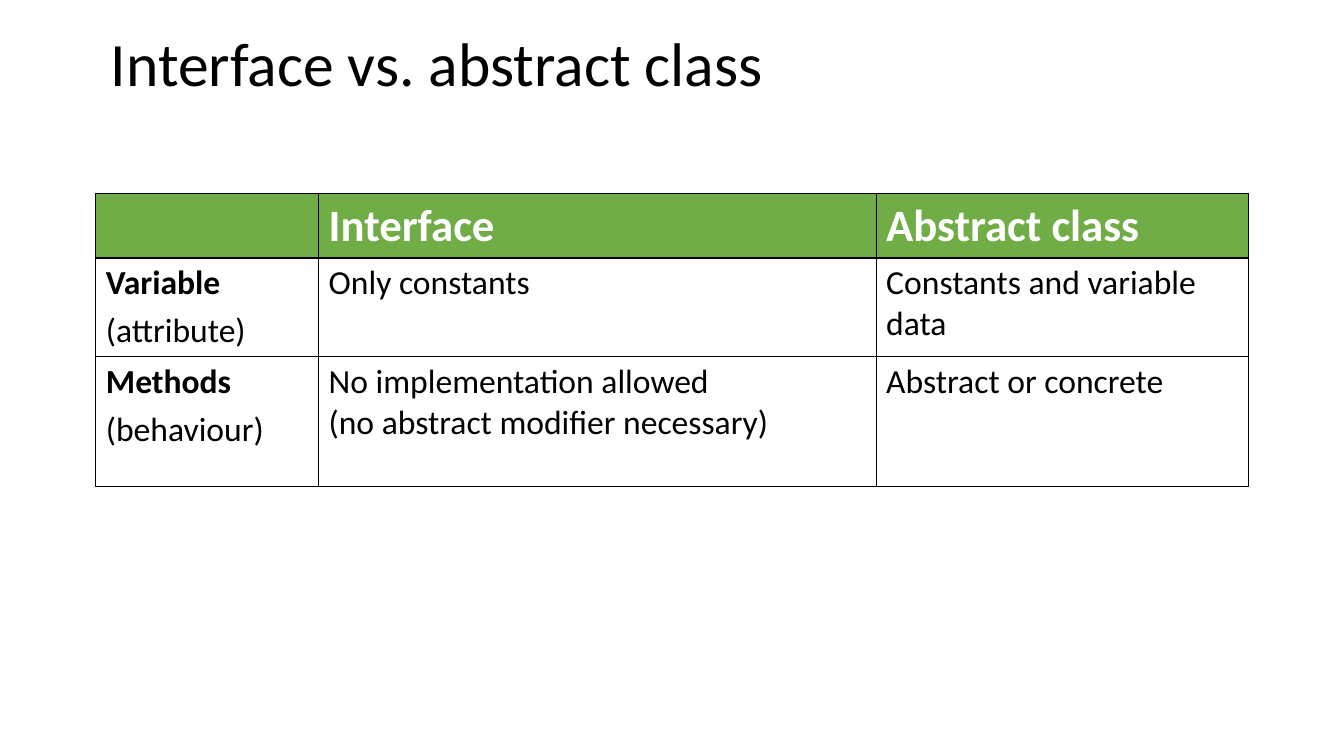
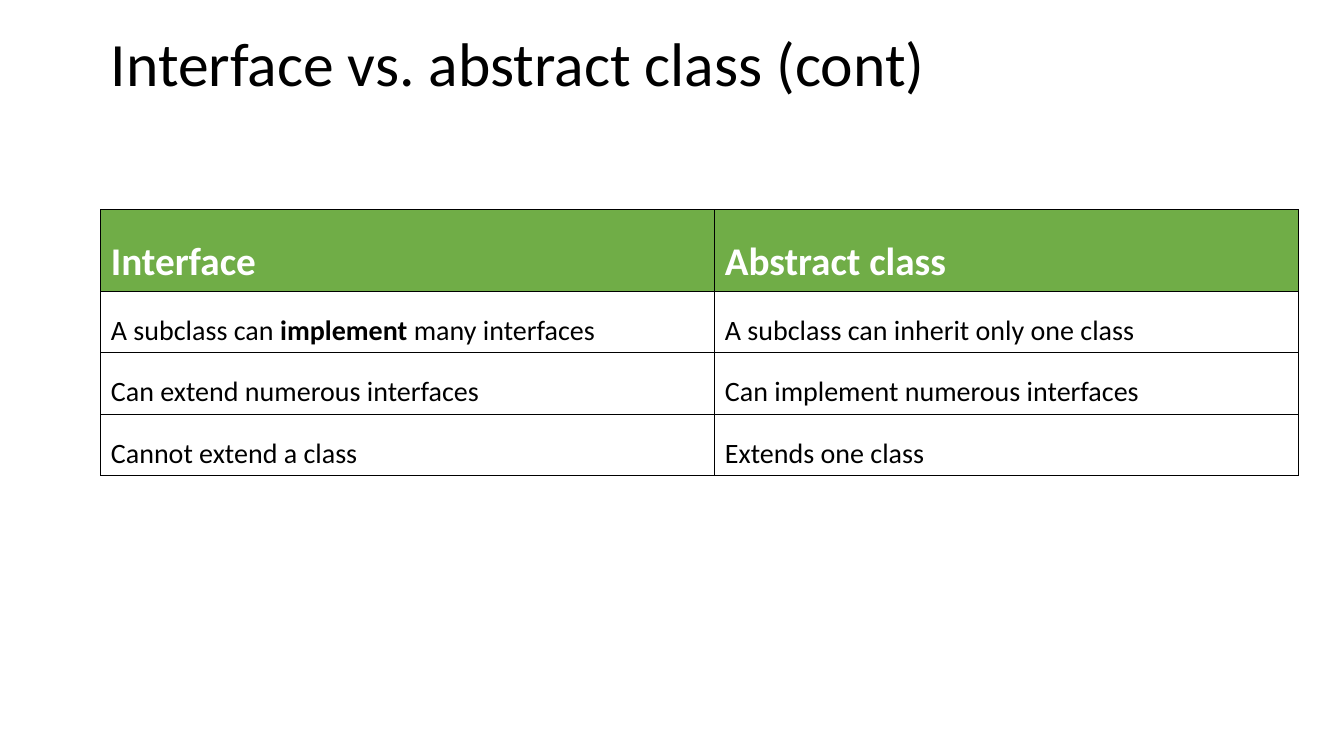
from dataclasses import dataclass

from lxml import etree
from pptx import Presentation
from pptx.dml.color import RGBColor
from pptx.enum.text import MSO_ANCHOR
from pptx.oxml.ns import qn
from pptx.util import Inches, Pt

MIDDLE = MSO_ANCHOR.MIDDLE
BORDER_SIDES = ("a:lnL", "a:lnR", "a:lnT", "a:lnB")
BOLD_MARK = "**"
LINE_BREAK = "\v"


@dataclass(frozen=True)
class Theme:
    font: str = "Calibri"
    text: str = "000000"
    header_text: str = "FFFFFF"
    header_fill: str = "70AD47"
    body_fill: str = "FFFFFF"
    border: str = "000000"
    border_width: float = 1
    title_size: int = 44
    title_spacing: float = 0.9
    paragraph_gap: float = 0.2


class Deck:
    def __init__(self, theme):
        self.theme = theme
        self.presentation = Presentation()
        self.presentation.slide_width = Inches(13.33)
        self.presentation.slide_height = Inches(7.5)
        self.slide = None

    def add_slide(self, title):
        blank_layout = self.presentation.slide_layouts[6]
        self.slide = self.presentation.slides.add_slide(blank_layout)
        box = self.slide.shapes.add_textbox(
            Inches(1), Inches(0.08), Inches(11.33), Inches(1.17))
        frame = box.text_frame
        frame.word_wrap = True
        frame.vertical_anchor = MIDDLE
        self.add_text(frame, title, self.theme.title_size, self.theme.text,
                      line_spacing=self.theme.title_spacing)

    def add_text(self, frame, text, size, color, bold=False, line_spacing=1.0):
        """Fill a frame: newlines part paragraphs, BOLD_MARK pairs enclose bold."""
        for index, content in enumerate(text.split("\n")):
            paragraph = frame.add_paragraph() if index else frame.paragraphs[0]
            paragraph.line_spacing = line_spacing
            if index:
                paragraph.space_before = Pt(size * self.theme.paragraph_gap)
            for part, words in enumerate(content.split(BOLD_MARK)):
                for number, line in enumerate(words.split(LINE_BREAK)):
                    if number:
                        paragraph.add_line_break()
                    if line:
                        self.add_run(paragraph, line, size, color,
                                     bold or part % 2 == 1)

    def add_run(self, paragraph, text, size, color, bold):
        run = paragraph.add_run()
        run.text = text
        values = {"name": self.theme.font, "size": Pt(size), "bold": bold}
        for name, value in values.items():
            setattr(run.font, name, value)
        run.font.color.rgb = RGBColor.from_string(color)

    def add_table(self, left, top, widths, heights, rows,
                  header_size, body_size, line_spacing=1.0):
        table = self.slide.shapes.add_table(
            len(rows), len(widths), Inches(left), Inches(top),
            Inches(sum(widths)), Inches(sum(heights))).table
        for column, width in zip(table.columns, widths):
            column.width = Inches(width)
        for row, height in zip(table.rows, heights):
            row.height = Inches(height)

        theme = self.theme
        header_style = (theme.header_fill, header_size, theme.header_text, True)
        body_style = (theme.body_fill, body_size, theme.text, False)
        for row_index, texts in enumerate(rows):
            fill, size, color, bold = body_style if row_index else header_style
            for column_index, text in enumerate(texts):
                cell = table.cell(row_index, column_index)
                self.add_borders(cell)
                cell.fill.solid()
                cell.fill.fore_color.rgb = RGBColor.from_string(fill)
                self.add_text(cell.text_frame, text, size, color, bold,
                              line_spacing)

    def add_borders(self, cell):
        properties = cell._tc.get_or_add_tcPr()
        for side in BORDER_SIDES:
            line = etree.SubElement(properties, qn(side),
                                    w=str(Pt(self.theme.border_width)))
            fill = etree.SubElement(line, qn("a:solidFill"))
            etree.SubElement(fill, qn("a:srgbClr"), val=self.theme.border)


def main():
    deck = Deck(Theme())

    deck.add_slide("Interface vs. abstract class")
    deck.add_table(
        left=0.95, top=1.92, widths=(2.21, 5.53, 3.69), heights=(0.64, 0.98, 1.29),
        rows=(
            ("", "Interface", "Abstract class"),
            ("**Variable**\n(attribute)", "Only constants",
             "Constants and variable data"),
            ("**Methods**\n(behaviour)",
             "No implementation allowed \v(no abstract modifier necessary)",
             "Abstract or concrete"),
        ),
        header_size=32, body_size=24)

    deck.add_slide("Interface vs. abstract class (cont)")
    deck.add_table(
        left=1, top=2.08, widths=(6.09, 5.79), heights=(0.81, 0.61, 0.61, 0.61),
        rows=(
            ("Interface", "Abstract class"),
            ("A subclass can **implement** many interfaces",
             "A subclass can inherit only one class"),
            ("Can extend numerous interfaces", "Can implement numerous interfaces"),
            ("Cannot extend a class", "Extends one class"),
        ),
        header_size=28, body_size=20, line_spacing=1.5)

    deck.presentation.save("out.pptx")


if __name__ == "__main__":
    main()
